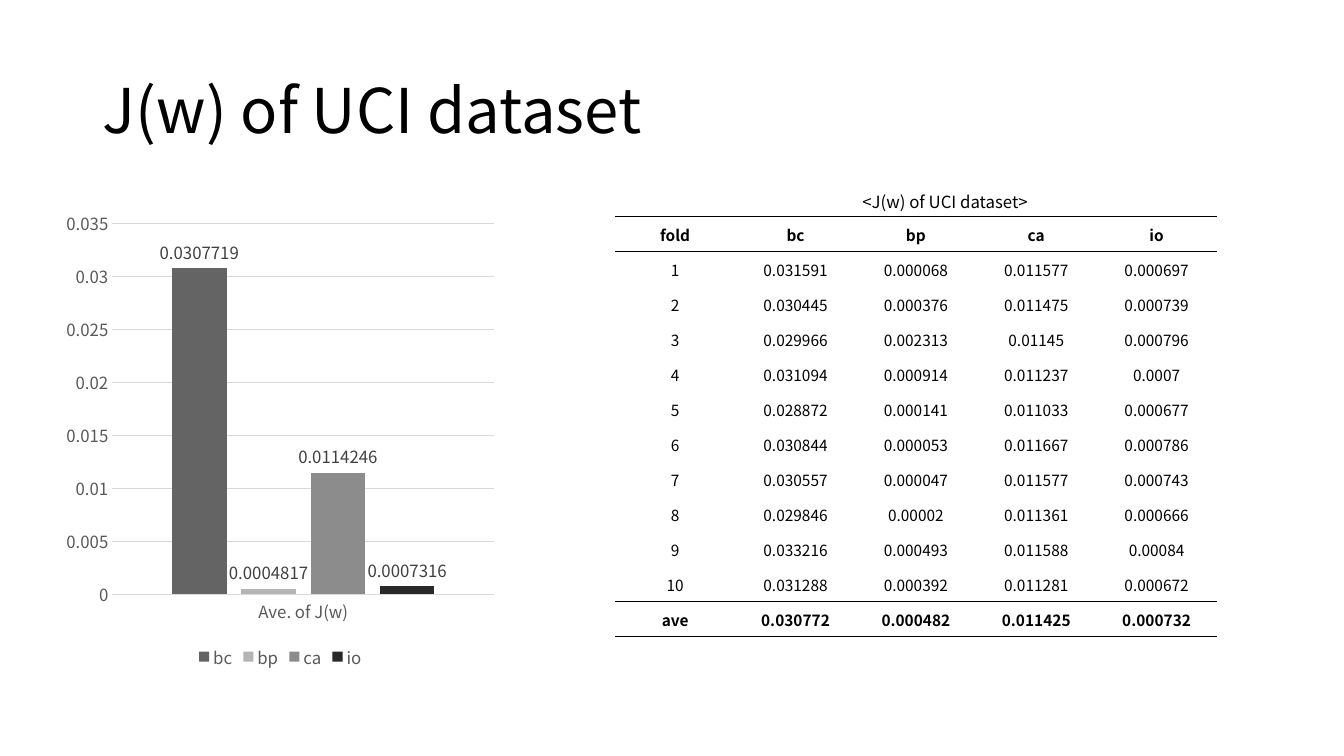
from lxml import etree
from pptx import Presentation, util as u
from pptx.chart.data import CategoryChartData
from pptx.dml.color import RGBColor
from pptx.enum import chart as ch, text
from pptx.oxml.ns import qn

FONT = "Noto Sans CJK KR"
TITLE = "J(w) of UCI dataset"
CAPTION = "<J(w) of UCI dataset>"
CATEGORY = "Ave. of J(w)"
SERIES = [  # name, average, label, colour
    ("bc", 0.030772, "0.0307719", "646464"),
    ("bp", 0.000482, "0.0004817", "B4B4B4"),
    ("ca", 0.011425, "0.0114246", "8C8C8C"),
    ("io", 0.000732, "0.0007316", "292929"),
]
ROWS = [
    ("fold", "bc", "bp", "ca", "io"),
    ("1", "0.031591", "0.000068", "0.011577", "0.000697"),
    ("2", "0.030445", "0.000376", "0.011475", "0.000739"),
    ("3", "0.029966", "0.002313", "0.01145", "0.000796"),
    ("4", "0.031094", "0.000914", "0.011237", "0.0007"),
    ("5", "0.028872", "0.000141", "0.011033", "0.000677"),
    ("6", "0.030844", "0.000053", "0.011667", "0.000786"),
    ("7", "0.030557", "0.000047", "0.011577", "0.000743"),
    ("8", "0.029846", "0.00002", "0.011361", "0.000666"),
    ("9", "0.033216", "0.000493", "0.011588", "0.00084"),
    ("10", "0.031288", "0.000392", "0.011281", "0.000672"),
    ("ave", "0.030772", "0.000482", "0.011425", "0.000732"),
]
LAST = len(ROWS) - 1
RULES = {0, 1, LAST, LAST + 1}  # row edges that carry a line


def box(*lengths):
    return [u.Inches(v) for v in lengths]


def rgb(value):
    return RGBColor.from_string(value)


def style(font, size, color="000000", bold=False):
    for name, value in dict(name=FONT, size=u.Pt(size), bold=bold).items():
        setattr(font, name, value)
    font.color.rgb = rgb(color)


def write(tf, content, size, align=None, color="000000", bold=False):
    p = tf.paragraphs[0]
    p.alignment = align
    r = p.add_run()
    r.text = content
    style(r.font, size, color, bold)
    return p


def border(cell, row):
    sides = dict(lnL=False, lnR=False, lnT=row in RULES, lnB=row + 1 in RULES)
    for i, (tag, ruled) in enumerate(sides.items()):
        ln = etree.Element(qn("a:" + tag), w=str(u.Pt(1)))
        fill = etree.SubElement(ln, qn("a:solidFill" if ruled else "a:noFill"))
        if ruled:
            etree.SubElement(fill, qn("a:srgbClr"), val="000000")
        cell._tc.get_or_add_tcPr().insert(i, ln)


prs = Presentation()
prs.slide_width, prs.slide_height = box(13.33, 7.5)
s = prs.slides.add_slide(prs.slide_layouts[5])

# Title
title = s.shapes.title
title.left, title.top, title.width, title.height = box(0.92, 0.4, 11.5, 1.45)
title.text_frame.vertical_anchor = text.MSO_ANCHOR.MIDDLE
write(title.text_frame, TITLE, 44, text.PP_ALIGN.LEFT).line_spacing = 0.9

# Chart of averages
data = CategoryChartData()
data.categories = [CATEGORY]
for name, value, _, _ in SERIES:
    data.add_series(name, [value])
chart = s.shapes.add_chart(ch.XL_CHART_TYPE.COLUMN_CLUSTERED,
                           *box(0.57, 2, 4.42, 4.68), data).chart
style(chart.font, 10)
chart.has_title = False
chart.has_legend = True
chart.legend.position = ch.XL_LEGEND_POSITION.BOTTOM
chart.legend.include_in_layout = False
style(chart.legend.font, 12, "595959")

cat, val = chart.category_axis, chart.value_axis
for axis in (cat, val):
    axis.major_tick_mark = axis.minor_tick_mark = ch.XL_TICK_MARK.NONE
    style(axis.tick_labels.font, 12, "595959")
val.format.line.fill.background()
for line in (cat.format.line, val.major_gridlines.format.line):
    line.color.rgb = rgb("D9D9D9")
    line.width = u.Pt(0.75)

plot = chart.plots[0]
plot.gap_width, plot.overlap, plot.vary_by_categories = 219, -27, False
for series, (_, _, label, color) in zip(plot.series, SERIES):
    series.format.fill.solid()
    series.format.fill.fore_color.rgb = rgb(color)
    labels = series.data_labels
    labels.show_value = True
    style(labels.font, 12, "404040")
    point_label = series.points[0].data_label
    write(point_label.text_frame, label, 12, color="404040")
    labels.position = point_label.position = ch.XL_LABEL_POSITION.OUTSIDE_END

# Table of folds
table = s.shapes.add_table(len(ROWS), len(ROWS[0]),
                           *box(6.1, 2.15, 5.97, 4.17)).table
table.first_row = table.horz_banding = False
CELL = dict(vertical_anchor=text.MSO_ANCHOR.MIDDLE, margin_left=u.Inches(0.01),
            margin_right=u.Inches(0.01), margin_top=u.Inches(0.01), margin_bottom=0)
for i, row in enumerate(ROWS):
    for j, content in enumerate(row):
        cell = table.cell(i, j)
        for name, value in CELL.items():
            setattr(cell, name, value)
        cell.fill.background()
        border(cell, i)
        write(cell.text_frame, content, 11, text.PP_ALIGN.CENTER, bold=i in (0, LAST))

# Table caption
tf = s.shapes.add_textbox(*box(7.69, 1.85, 3.37, 0.3)).text_frame
tf.word_wrap = True
tf.auto_size = text.MSO_AUTO_SIZE.SHAPE_TO_FIT_TEXT
write(tf, CAPTION, 12, text.PP_ALIGN.CENTER)

prs.save("out.pptx")
